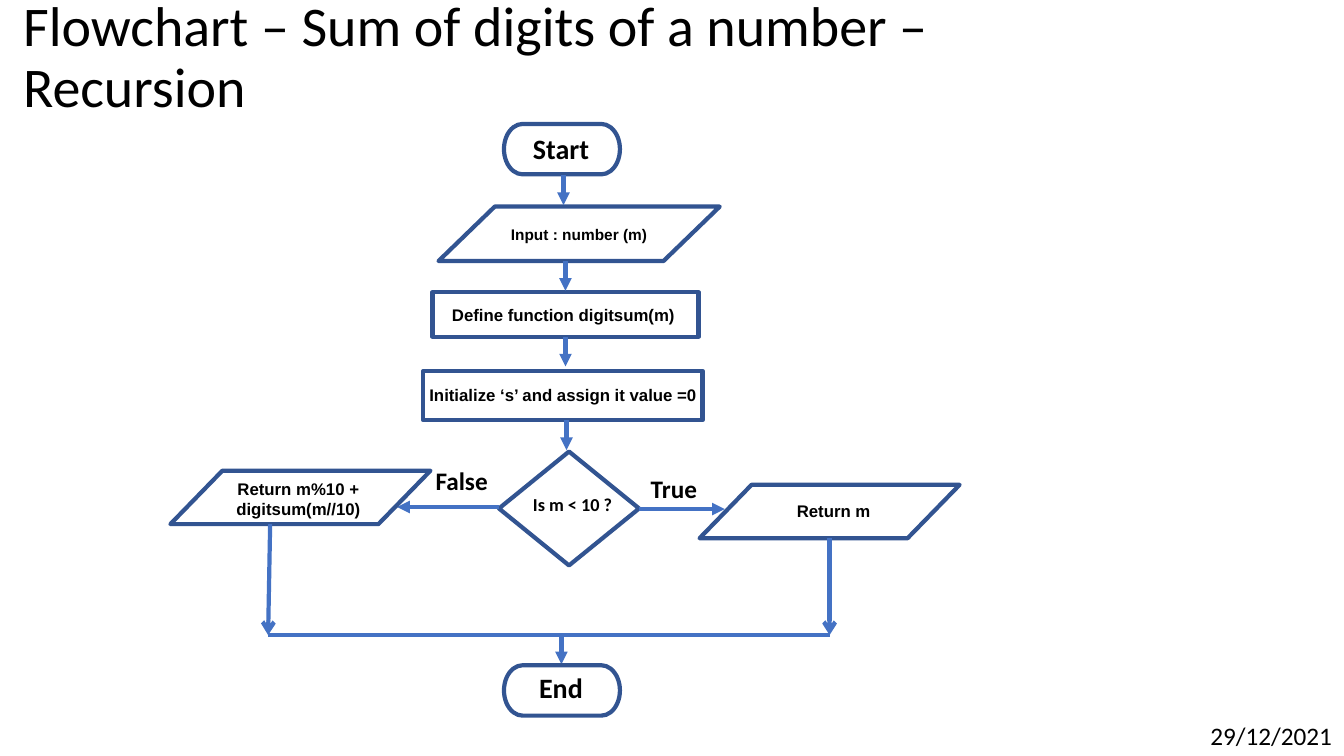
from dataclasses import dataclass

from lxml import etree
from pptx import Presentation
from pptx import util as u
from pptx.dml.color import RGBColor
from pptx.enum import shapes, text
from pptx.oxml.ns import qn

CELL = u.Inches(0.1)  # the grid: columns and rows of a tenth of an inch
COLUMNS, ROWS = 133.33, 75


@dataclass(frozen=True)
class Theme:
    ink: RGBColor = RGBColor(0, 0, 0)
    outline: RGBColor = RGBColor.from_string("325491")
    flow: RGBColor = RGBColor.from_string("4472C4")
    line: int = 3
    head: str = "Calibri"
    body: str = "Arial"
    title: int = 40
    terminal: int = 20
    branch: int = 18
    decision: int = 13
    step: int = 12
    entry: int = 11


@dataclass(frozen=True)
class Box:
    left: float
    top: float
    width: float
    height: float

    def inner(self, column, row, width, height):
        return Box(self.left + column, self.top + row, width, height)

    def point(self, column, row):
        return cells(self.left + column, self.top + row)

    def place(self):
        return cells(self.left, self.top, self.width, self.height)


THEME = Theme()
KIND = shapes.MSO_SHAPE


def cells(*counts):
    return [round(count * CELL) for count in counts]


def style(para, face, size, bold=False):
    para.font.name, para.font.size, para.font.bold = face, u.Pt(size), bold
    para.font.color.rgb = THEME.ink


def label(page, box, words, size, face=THEME.head, bold=True, wrap=True):
    frame = page.shapes.add_textbox(*box.place()).text_frame
    frame.word_wrap = wrap
    frame.auto_size = text.MSO_AUTO_SIZE.SHAPE_TO_FIT_TEXT
    para = frame.paragraphs[0]
    para.text = words
    para.alignment = text.PP_ALIGN.CENTER if wrap else text.PP_ALIGN.LEFT
    style(para, face, size, bold)


def symbol(page, kind, box):
    shape = page.shapes.add_shape(kind, *box.place())
    shape.shadow.inherit = False
    shape.fill.background()
    shape.line.color.rgb = THEME.outline
    shape.line.width = u.Pt(THEME.line)


def connect(page, start, end, head=None):
    link = page.shapes.add_connector(shapes.MSO_CONNECTOR.STRAIGHT, *start, *end)
    link.line.color.rgb = THEME.flow
    link.line.width = u.Pt(THEME.line)
    properties = link._element.spPr
    if head:
        etree.SubElement(properties.find(qn("a:ln")), qn("a:tailEnd"), type=head)
    etree.SubElement(properties, qn("a:effectLst"))


def add_title(page, box, words):
    title = page.shapes.title
    title.left, title.top, title.width, title.height = box.place()
    frame = title.text_frame
    frame.text = words
    frame.word_wrap = True
    frame.auto_size = text.MSO_AUTO_SIZE.NONE
    frame.vertical_anchor = text.MSO_ANCHOR.MIDDLE
    para = frame.paragraphs[0]
    para.alignment, para.line_spacing = text.PP_ALIGN.LEFT, 0.9
    style(para, THEME.head, THEME.title)


def add_terminal(page, box, words, label_row):
    symbol(page, KIND.FLOWCHART_TERMINATOR, box)
    label(page, box.inner(1.2, label_row, 8.9, 4.4), words, THEME.terminal)


def add_steps(page, box):
    # Input, definition and initial value, one below the other
    steps = [
        (KIND.FLOWCHART_DATA, (2.6, 3.1, 27.9, 5.4),
         "Input : number (m)", (4.5, 4.4, 24.1, 2.9), THEME.entry),
        (KIND.FLOWCHART_PROCESS, (2, 11.6, 26.4, 4.4),
         "Define function digitsum(m)", (0, 12.3, 30, 3), THEME.step),
        (KIND.FLOWCHART_PROCESS, (1.1, 19.4, 27.7, 4.9),
         "Initialize ‘s’ and assign it value =0 ", (0.2, 20.3, 30, 3), THEME.step),
    ]
    for kind, outline, words, spot, size in steps:
        symbol(page, kind, box.inner(*outline))
        label(page, box.inner(*spot), words, size, THEME.body)

    # Arrows into and out of each step
    for column, row in [(15, 0), (15.2, 8.5), (15.2, 16), (15.3, 24.3)]:
        connect(page, box.point(column, row), box.point(column, row + 2.95), "triangle")


def add_decision(page, box):
    symbol(page, KIND.FLOWCHART_DECISION, box)
    label(page, box.inner(-1.8, 3.6, 18.6, 3.2), "Is m < 10 ? ", THEME.decision)
    # False to the left, True to the right
    connect(page, box.point(0, 5.5), box.point(-10.1, 5.5), "triangle")
    label(page, box.inner(-7.9, 0.9, 8.4, 4), "False", THEME.branch)
    connect(page, box.point(box.width, 5.7), box.point(box.width + 8.5, 5.7), "triangle")
    label(page, box.inner(13.9, 1.7, 6.9, 4), "True", THEME.branch)


def add_return(page, box, words, spot):
    symbol(page, KIND.FLOWCHART_DATA, box)
    label(page, box.inner(*spot), words, THEME.step, THEME.body)


def add_merge(page, box):
    # Both branches run down to one bar, which leads to the end
    connect(page, box.point(0.2, 0), box.point(0, box.height), "arrow")
    connect(page, box.point(box.width, 1.4), box.point(box.width, box.height), "arrow")
    connect(page, box.point(0, box.height), box.point(box.width, box.height))
    connect(page, box.point(29.1, box.height), box.point(29.1, box.height + 2.9), "triangle")


def add_flowchart(page, box):
    add_terminal(page, box.inner(33.1, 0, 11.5, 5), "Start", 0.3)
    add_steps(page, box.inner(24, 5.1, 30, 27.3))
    add_decision(page, box.inner(32.6, 32.5, 13.9, 11.3))
    add_return(page, box.inner(0, 34.4, 25.8, 5.3),
               "Return m%10 + digitsum(m//10)", (2.6, 0.3, 20.2, 5))
    add_return(page, box.inner(52.5, 35.8, 25.8, 5.3), "Return m", (3.2, 1.1, 20.2, 3))
    add_merge(page, box.inner(9.7, 39.7, 55.7, 11))
    add_terminal(page, box.inner(33.1, 53.7, 11.5, 5), "End", 0)


def main():
    deck = Presentation()
    deck.slide_width, deck.slide_height = cells(COLUMNS, ROWS)
    page = deck.slides.add_slide(deck.slide_layouts.get_by_name("Title Only"))
    add_title(page, Box(1.3, -1.4, 115, 14.5),
              "Flowchart – Sum of digits of a number – Recursion")
    add_flowchart(page, Box(16.9, 12.3, 78.3, 58.7))
    label(page, Box(119.1, 71, 14.2, 4), "29/12/2021", THEME.branch,
          bold=False, wrap=False)
    deck.save("out.pptx")


if __name__ == "__main__":
    main()
